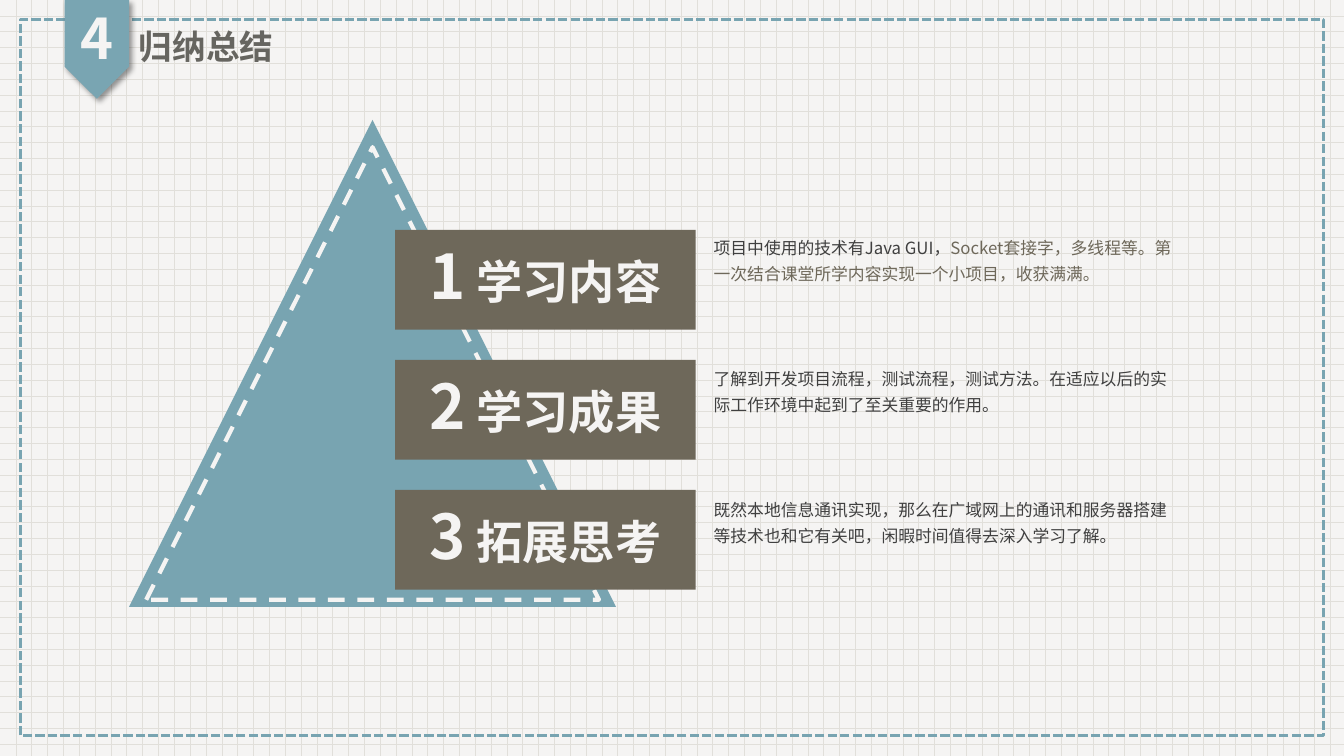
from lxml import etree
from pptx import Presentation
from pptx.dml.color import RGBColor
from pptx.enum.dml import MSO_LINE, MSO_PATTERN
from pptx.enum.shapes import MSO_SHAPE
from pptx.enum.text import MSO_ANCHOR, MSO_AUTO_SIZE, PP_ALIGN
from pptx.oxml.ns import qn
from pptx.util import Inches, Pt

RECT, PLATE, PEAK = MSO_SHAPE.RECTANGLE, MSO_SHAPE.PENTAGON, MSO_SHAPE.ISOSCELES_TRIANGLE
DASH, DOTS = MSO_LINE.DASH, MSO_LINE.SQUARE_DOT
GRID = MSO_PATTERN.from_xml("dotGrid")
MID, TOP = MSO_ANCHOR.MIDDLE, MSO_ANCHOR.TOP
LEFT, CENTER = PP_ALIGN.LEFT, PP_ALIGN.CENTER
GROW = MSO_AUTO_SIZE.SHAPE_TO_FIT_TEXT

FONT = "Noto Sans CJK SC"
COLORS = {"paper": "F5F4F3", "grid": "E1DFDA", "teal": "78A4B1", "badge": "79A5B2",
          "title": "666560", "brown": "6E685A", "dark": "404040"}
TOPICS = [
    ("学习内容", [("项目中使用的技术有Java GUI，", "dark"),
              ("Socket套接字，多线程等。第一次结合课堂所学内容实现一个小项目，收获满满。", "brown")]),
    ("学习成果", [("了解到开发项目流程，测试流程，测试方法。在适应以后的实际工作环境中起到了至关重要的作用。", "dark")]),
    ("拓展思考", [("既然本地信息通讯实现，那么在广域网上的通讯和服务器搭建等技术也和它有关吧，闲暇时间值得去深入学习了解。", "dark")]),
]


def rgb(name):
    """Return the named colour."""
    return RGBColor.from_string(COLORS[name])


def apply(item, **values):
    """Set each format value on an item."""
    for key, value in values.items():
        setattr(item, key, value)


def add_form(shapes, kind, box, fill=None, line=None):
    """Add a preset shape with a fill or a dashed line."""
    form = shapes.add_shape(kind, *map(Inches, box))
    form.shadow.inherit = False
    if fill:
        form.fill.solid()
        form.fill.fore_color.rgb = rgb(fill)
    else:
        form.fill.background()
    if line:
        color, width, dash = line
        form.line.color.rgb = rgb(color)
        apply(form.line, width=Pt(width), dash_style=dash)
    else:
        form.line.fill.background()
    return form


def add_shade(form):
    """Give a shape a soft grey shadow."""
    effect = form._element.spPr.find(qn("a:effectLst"))
    shade = etree.SubElement(effect, qn("a:outerShdw"), blurRad=str(Pt(4)), dist=str(Pt(3)),
                             dir="2700000", algn="tl", rotWithShape="0")
    color = etree.SubElement(shade, qn("a:srgbClr"), val="000000")
    etree.SubElement(color, qn("a:alpha"), val="40000")


def write(form, runs, bold=False, anchor=MID, **para):
    """Write runs of text, size and colour into one paragraph."""
    apply(form.text_frame, word_wrap=True, vertical_anchor=anchor)
    line = form.text_frame.paragraphs[0]
    apply(line, **para)
    for text, size, color in runs:
        run = line.add_run()
        run.text = text
        apply(run.font, size=Pt(size), bold=bold, name=FONT)
        run.font.color.rgb = rgb(color)
        etree.SubElement(run._r.get_or_add_rPr(), qn("a:ea"), typeface=FONT)


def add_text(shapes, box, runs, **style):
    """Add a text box."""
    form = shapes.add_textbox(*map(Inches, box))
    write(form, runs, **style)
    return form


def add_head(shapes):
    """Add the dashed frame, the badge and the title."""
    add_form(shapes, RECT, (0.2, 0.19, 12.93, 7.11), line=("teal", 2.25, DOTS))
    badge = add_form(shapes, PLATE, (0.47, 0.17, 0.98, 0.64), fill="badge")
    badge.rotation = 90
    add_shade(badge)
    style = {"bold": True, "line_spacing": 0.9, "space_before": Pt(10)}
    add_text(shapes, (0.64, 0, 0.64, 0.82), [("4", 40, "paper")], alignment=CENTER, **style)
    add_text(shapes, (1.28, 0.23, 4.6, 0.51), [("归纳总结", 24, "title")], alignment=LEFT, **style)


def add_peak(shapes):
    """Add the triangle with its dashed inner edge."""
    group = shapes.add_group_shape().shapes
    add_form(group, PEAK, (1.28, 1.19, 4.83, 4.83), fill="teal")
    add_form(group, PEAK, (1.45, 1.46, 4.49, 4.49), line=("paper", 3, DASH))


def add_topic(shapes, index, name, parts):
    """Add one numbered bar and its note."""
    bar = add_form(shapes, RECT, (3.92, 2.28 + 1.29 * index, 2.98, 0.99), fill="brown")
    pad = Inches(0.19)
    apply(bar.text_frame, margin_left=pad, margin_right=pad, margin_top=pad, margin_bottom=pad)
    write(bar, [(str(index + 1), 44, "paper"), (f" {name}", 33, "paper")],
          bold=True, alignment=CENTER, line_spacing=0.9)
    note = add_text(shapes, (6.98, 2.25 + 1.3 * index, 4.82, 0.62),
                    [(text, 12, color) for text, color in parts],
                    anchor=TOP, line_spacing=1.3)
    note.text_frame.auto_size = GROW


def main():
    """Build the slide and save it."""
    deck = Presentation()
    apply(deck, slide_width=Inches(13.33), slide_height=Inches(7.5))
    slide = deck.slides.add_slide(deck.slide_layouts[6])
    fill = slide.background.fill
    fill.patterned()
    fill.pattern = GRID
    fill.fore_color.rgb = rgb("grid")
    fill.back_color.rgb = rgb("paper")
    add_head(slide.shapes)
    add_peak(slide.shapes)
    for index, (name, parts) in enumerate(TOPICS):
        add_topic(slide.shapes, index, name, parts)
    deck.save("out.pptx")


if __name__ == "__main__":
    main()
